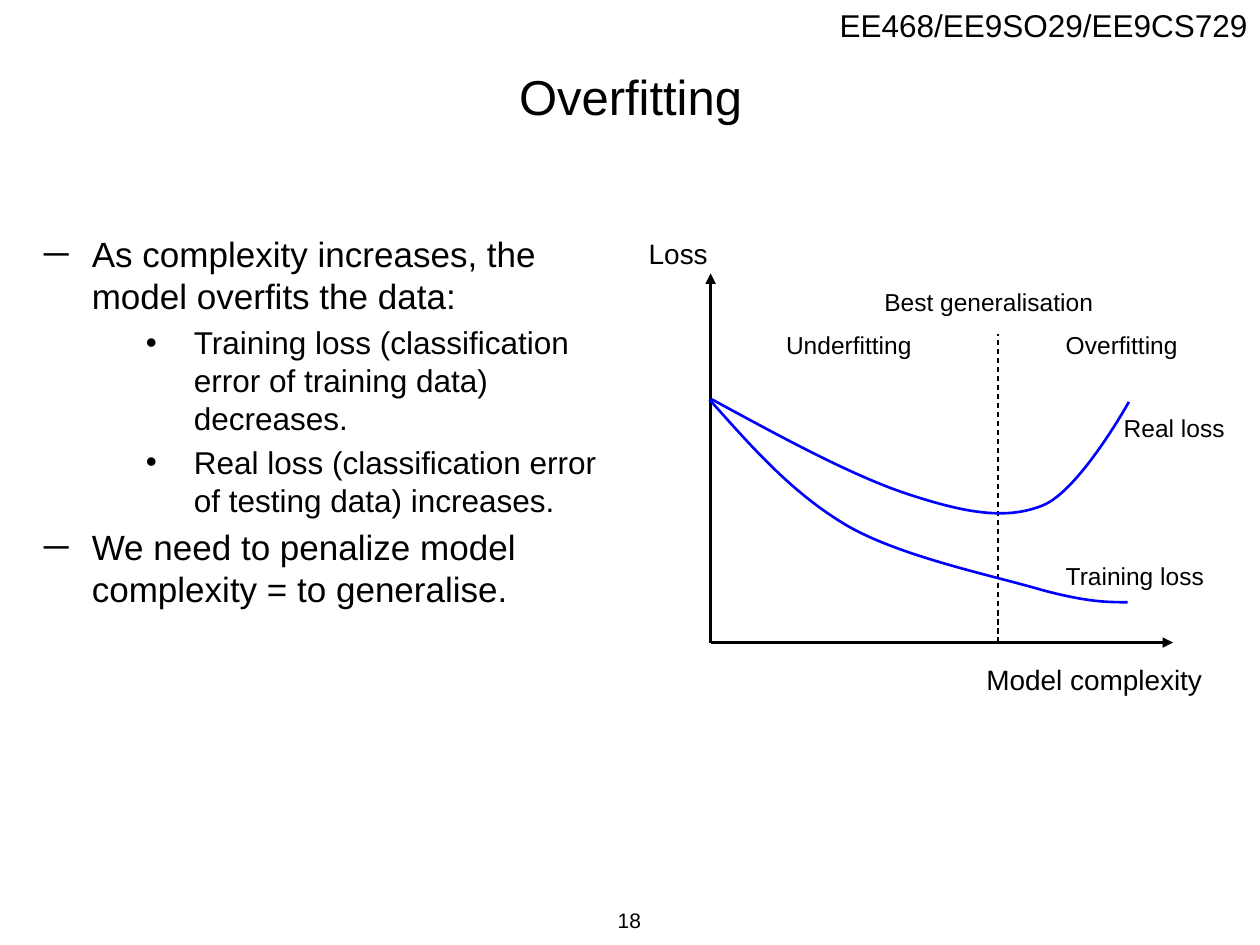
from lxml.etree import SubElement
from pptx import Presentation
from pptx.dml.color import RGBColor
from pptx.enum.dml import MSO_LINE
from pptx.enum.shapes import MSO_CONNECTOR
from pptx.enum.text import MSO_ANCHOR, PP_ALIGN
from pptx.oxml.ns import qn
from pptx.util import Inches, Pt

BLACK, BLUE = "000000", "0000FF"
FONT = "Arial"

# text, box (left, top, width, height), size, alignment, anchor, wrap
LEFT, CENTER, RIGHT = PP_ALIGN.LEFT, PP_ALIGN.CENTER, PP_ALIGN.RIGHT
TOP, MIDDLE = MSO_ANCHOR.TOP, MSO_ANCHOR.MIDDLE
HEADINGS = [
    ("EE468/EE9SO29/EE9CS729", (6.45, 0, 3.55, 0.4), 18, RIGHT, TOP, False),
    ("Overfitting", (0.17, 0.28, 9.67, 0.97), 28, CENTER, MIDDLE, True),
    ("18", (3.83, 7.1, 2.33, 0.4), 12, CENTER, MIDDLE, True),
]

BODY_BOX = (0.25, 1.8, 4.75, 5.3)
BODY = [
    (0, "As complexity increases, the model overfits the data:"),
    (1, "Training loss (classification error of training data) decreases."),
    (1, "Real loss (classification error of testing data) increases."),
    (0, "We need to penalize model complexity = to generalise."),
]
LEVELS = [
    {"bullet": "─", "indent": 0.38, "size": 20},
    {"bullet": "•", "indent": 1.19, "size": 18},
]
HANGING = 0.38

# text, left, top, width, size
DIAGRAM_LABELS = [
    ("Loss", 5.05, 1.83, 0.68, 16),
    ("Model complexity", 7.73, 5.21, 1.93, 16),
    ("Best generalisation", 6.92, 2.23, 1.87, 14),
    ("Underfitting", 6.14, 2.57, 1.2, 14),
    ("Overfitting", 8.36, 2.57, 1.09, 14),
    ("Real loss", 8.82, 3.23, 1.01, 14),
    ("Training loss", 8.36, 4.4, 1.3, 14),
]

AXIS_X, AXIS_Y, BEST_X = 5.64, 5.1, 7.92
# start, end, width, dashed
LINES = [
    ((AXIS_X, AXIS_Y), (9.31, AXIS_Y), 1.5, False),
    ((AXIS_X, AXIS_Y), (AXIS_X, 2.17), 1.5, False),
    ((BEST_X, AXIS_Y), (BEST_X, 2.65), 0.75, True),
]

# start point, then three Bezier points for each section
TRAINING_LOSS = [
    (5.63, 3.17),
    (5.96, 3.54), (6.28, 3.91), (6.72, 4.17),
    (7.15, 4.42), (7.89, 4.57), (8.26, 4.68),
    (8.63, 4.78), (8.79, 4.78), (8.95, 4.78),
]
REAL_LOSS = [
    (5.65, 3.17),
    (6.22, 3.48), (6.79, 3.79), (7.23, 3.93),
    (7.66, 4.07), (7.99, 4.13), (8.28, 4.01),
    (8.57, 3.89), (8.96, 3.19), (8.96, 3.19),
]


def rgb(color):
    return RGBColor.from_string(color)


def add_box(slide, box, anchor=TOP, wrap=True):
    frame = slide.shapes.add_textbox(*map(Inches, box)).text_frame
    for attribute, value in {"word_wrap": wrap, "vertical_anchor": anchor}.items():
        setattr(frame, attribute, value)
    return frame


def write(paragraph, text, size, align=LEFT):
    paragraph.alignment = align
    run = paragraph.add_run()
    run.text = text
    for attribute, value in {"name": FONT, "size": Pt(size)}.items():
        setattr(run.font, attribute, value)
    run.font.color.rgb = rgb(BLACK)


def add_text(slide, text, box, size, align=LEFT, anchor=TOP, wrap=False):
    write(add_box(slide, box, anchor, wrap).paragraphs[0], text, size, align)


def add_body(slide):
    frame = add_box(slide, BODY_BOX)
    for number, (level, text) in enumerate(BODY):
        paragraph = frame.add_paragraph() if number else frame.paragraphs[0]
        style = LEVELS[level]
        paragraph.level = level
        paragraph.space_before = Pt(style["size"] * 0.2)
        write(paragraph, text, style["size"])
        properties = paragraph._p.get_or_add_pPr()
        properties.set("marL", str(Inches(style["indent"])))
        properties.set("indent", str(-Inches(HANGING)))
        SubElement(properties, qn("a:buFont"), typeface=FONT)
        SubElement(properties, qn("a:buChar"), char=style["bullet"])


def add_line(slide, start, end, width, dashed):
    connector = slide.shapes.add_connector(
        MSO_CONNECTOR.STRAIGHT, *map(Inches, start + end))
    connector.line.color.rgb = rgb(BLACK)
    connector.line.width = Pt(width)
    if dashed:
        connector.line.dash_style = MSO_LINE.DASH
    else:
        SubElement(connector.line._get_or_add_ln(), qn("a:tailEnd"), type="triangle")
    SubElement(connector._element.spPr, qn("a:effectLst"))


def add_curve(slide, points):
    """Draw the points as a polyline, then turn each three sections into a Bezier."""
    start, *rest = [(Inches(x), Inches(y)) for x, y in points]
    builder = slide.shapes.build_freeform(*start)
    builder.add_line_segments(rest, close=False)
    curve = builder.convert_to_shape()
    curve.shadow.inherit = False
    curve.fill.background()
    curve.line.color.rgb = rgb(BLUE)
    curve.line.width = Pt(1.5)

    outline = next(curve._element.iter(qn("a:path")))
    sections = outline.findall(qn("a:lnTo"))
    for first in range(0, len(sections), 3):
        bezier = SubElement(outline, qn("a:cubicBezTo"))
        for section in sections[first:first + 3]:
            bezier.append(section[0])
            outline.remove(section)


def main():
    presentation = Presentation()
    presentation.slide_width, presentation.slide_height = Inches(10), Inches(7.5)
    slide = presentation.slides.add_slide(presentation.slide_layouts[6])

    for heading in HEADINGS:
        add_text(slide, *heading)
    add_body(slide)
    for line in LINES:
        add_line(slide, *line)
    for points in (TRAINING_LOSS, REAL_LOSS):
        add_curve(slide, points)
    for text, left, top, width, size in DIAGRAM_LABELS:
        height = 0.37 if size == 16 else 0.34
        add_text(slide, text, (left, top, width, height), size)
    presentation.save("out.pptx")


if __name__ == "__main__":
    main()
